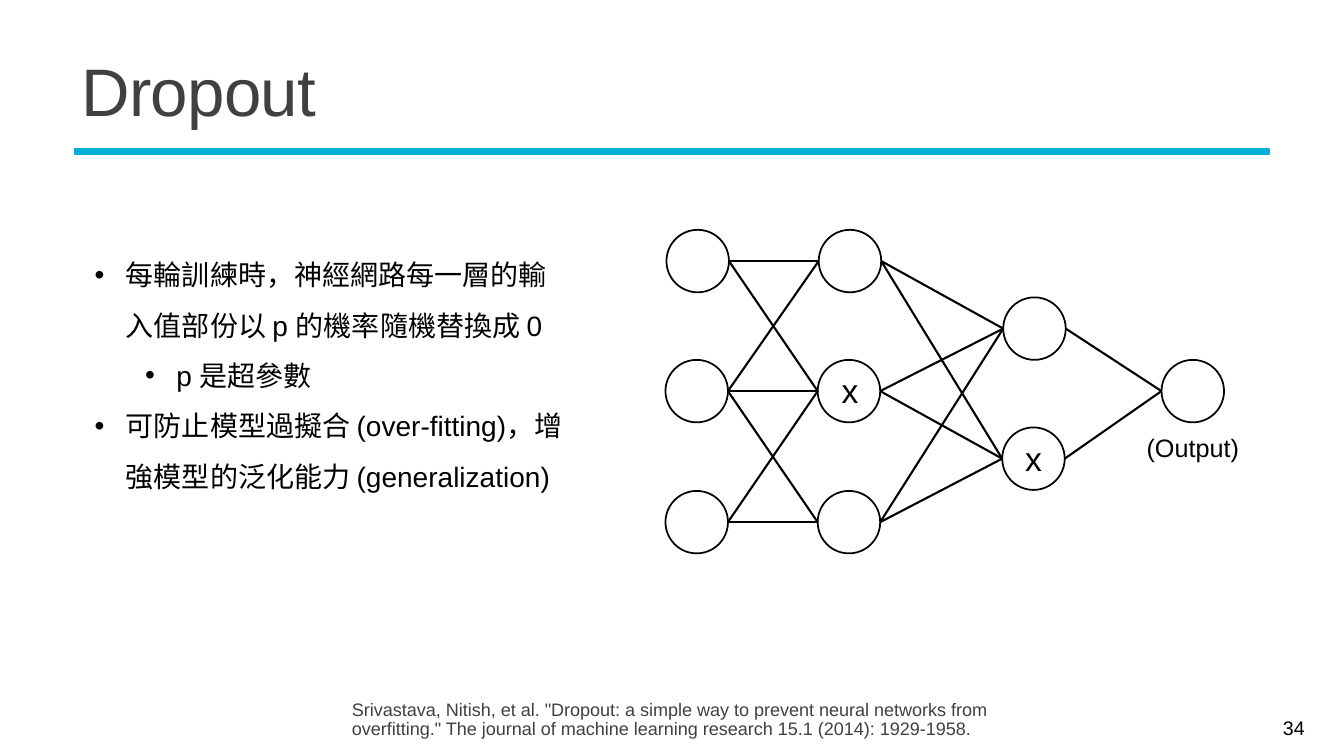
from dataclasses import dataclass

import lxml.etree
import pptx
import pptx.dml.color
import pptx.enum.shapes
import pptx.enum.text
import pptx.oxml.ns
import pptx.util

PX = 9144
BLACK = pptx.dml.color.RGBColor(0x00, 0x00, 0x00)
GREY = pptx.dml.color.RGBColor(0x40, 0x40, 0x40)
CYAN = pptx.dml.color.RGBColor(0x05, 0xAE, 0xD6)
LEFT = pptx.enum.text.PP_ALIGN.LEFT
CENTER = pptx.enum.text.PP_ALIGN.CENTER
RIGHT = pptx.enum.text.PP_ALIGN.RIGHT
TOP = pptx.enum.text.MSO_ANCHOR.TOP
MIDDLE = pptx.enum.text.MSO_ANCHOR.MIDDLE
NODE_SIZE = 62


@dataclass(frozen=True)
class Line:
    text: str
    margin: int = 0
    bullet: str = ""


@dataclass(frozen=True)
class Label:
    box: tuple[int, int, int, int]
    lines: tuple[Line, ...]
    size: float
    color: pptx.dml.color.RGBColor = BLACK
    align: pptx.enum.text.PP_ALIGN = LEFT
    anchor: pptx.enum.text.MSO_ANCHOR = TOP
    line_spacing: float = 1.0
    side_inset: int = 10
    tracking: int = 0


@dataclass(frozen=True)
class Node:
    left: int
    top: int

    @property
    def middle(self) -> int:
        return self.top + NODE_SIZE // 2

    @property
    def right(self) -> int:
        return self.left + NODE_SIZE


LAYERS = (
    (Node(661, 228), Node(660, 357), Node(660, 487)),
    (Node(812, 228), Node(811, 357), Node(811, 487)),
    (Node(995, 295), Node(994, 424)),
    (Node(1152, 357),),
)
UNLINKED = {(0, 0, 2), (0, 2, 0)}

LABELS = (
    Label((71, 39, 1194, 113), (Line("Dropout"),), 48, GREY,
          anchor=MIDDLE, line_spacing=0.85, tracking=-50),
    Label((1161, 702, 143, 40), (Line("34"),), 14, align=RIGHT, anchor=MIDDLE),
    Label((812, 362, 62, 50), (Line("x"),), 24, align=CENTER),
    Label((994, 430, 62, 50), (Line("x"),), 24, align=CENTER),
    Label((1122, 424, 122, 40), (Line("(Output)"),), 18, align=CENTER),
    Label((339, 690, 655, 51), (Line(
        'Srivastava, Nitish, et al. "Dropout: a simple way to prevent neural networks from '
        'overfitting." The journal of machine learning research 15.1 (2014): 1929-1958.',
        margin=10),), 12.9, GREY, line_spacing=0.9, side_inset=0),
    Label((84, 234, 491, 256), (
        Line("每輪訓練時，神經網路每一層的輸入值部份以 p 的機率隨機替換成 0", 31, "•"),
        Line("p 是超參數", 81, "•"),
        Line("可防止模型過擬合 (over-fitting)，增強模型的泛化能力 (generalization)", 31, "•"),
    ), 20, line_spacing=1.5),
)


def apply_format(target: object, values: dict[str, object]) -> None:
    for name, value in values.items():
        setattr(target, name, value)


def add_bullet(paragraph, character: str) -> None:
    properties = paragraph._p.get_or_add_pPr()
    properties.set("indent", str(-31 * PX))
    font = lxml.etree.SubElement(properties, pptx.oxml.ns.qn("a:buFont"))
    font.set("typeface", "Arial")
    bullet = lxml.etree.SubElement(properties, pptx.oxml.ns.qn("a:buChar"))
    bullet.set("char", character)


def add_label(slide, label: Label) -> None:
    shape = slide.shapes.add_textbox(*(value * PX for value in label.box))
    frame = shape.text_frame
    apply_format(frame, {
        "word_wrap": True,
        "vertical_anchor": label.anchor,
        "margin_left": label.side_inset * PX,
        "margin_right": label.side_inset * PX,
    })
    for index, line in enumerate(label.lines):
        paragraph = frame.add_paragraph() if index else frame.paragraphs[0]
        apply_format(paragraph, {"alignment": label.align, "line_spacing": label.line_spacing})
        if line.margin:
            paragraph._p.get_or_add_pPr().set("marL", str(line.margin * PX))
        if line.bullet:
            add_bullet(paragraph, line.bullet)
        run = paragraph.add_run()
        run.text = line.text
        apply_format(run.font, {"name": "Arial", "size": pptx.util.Pt(label.size)})
        run.font.color.rgb = label.color
        if label.tracking:
            run._r.get_or_add_rPr().set("spc", str(label.tracking))


def add_node(slide, node: Node) -> None:
    shape = slide.shapes.add_shape(
        pptx.enum.shapes.MSO_SHAPE.OVAL,
        node.left * PX, node.top * PX, NODE_SIZE * PX, NODE_SIZE * PX)
    shape.shadow.inherit = False
    shape.fill.background()
    shape.line.color.rgb = BLACK
    shape.line.width = pptx.util.Pt(1.25)


def add_link(slide, source: Node, target: Node) -> None:
    connector = slide.shapes.add_connector(
        pptx.enum.shapes.MSO_CONNECTOR.STRAIGHT,
        source.right * PX, source.middle * PX, target.left * PX, target.middle * PX)
    connector.line.color.rgb = BLACK
    connector.line.width = pptx.util.Pt(1.5)
    lxml.etree.SubElement(connector._element.spPr, pptx.oxml.ns.qn("a:effectLst"))


def add_title_rule(slide) -> None:
    rule = slide.shapes.add_shape(
        pptx.enum.shapes.MSO_SHAPE.RECTANGLE, 74 * PX, 148 * PX, 1185 * PX, 5 * PX)
    rule.shadow.inherit = False
    rule.fill.solid()
    rule.fill.fore_color.rgb = CYAN
    rule.line.color.rgb = CYAN
    rule.line.width = pptx.util.Pt(1.25)


def main() -> None:
    presentation = pptx.Presentation()
    apply_format(presentation, {"slide_width": 1333 * PX, "slide_height": 750 * PX})
    slide = presentation.slides.add_slide(presentation.slide_layouts[6])
    add_title_rule(slide)
    for layer in LAYERS:
        for node in layer:
            add_node(slide, node)
    for layer_index, (sources, targets) in enumerate(zip(LAYERS, LAYERS[1:])):
        for source_index, source in enumerate(sources):
            for target_index, target in enumerate(targets):
                if (layer_index, source_index, target_index) not in UNLINKED:
                    add_link(slide, source, target)
    for label in LABELS:
        add_label(slide, label)
    presentation.save("out.pptx")


if __name__ == "__main__":
    main()
